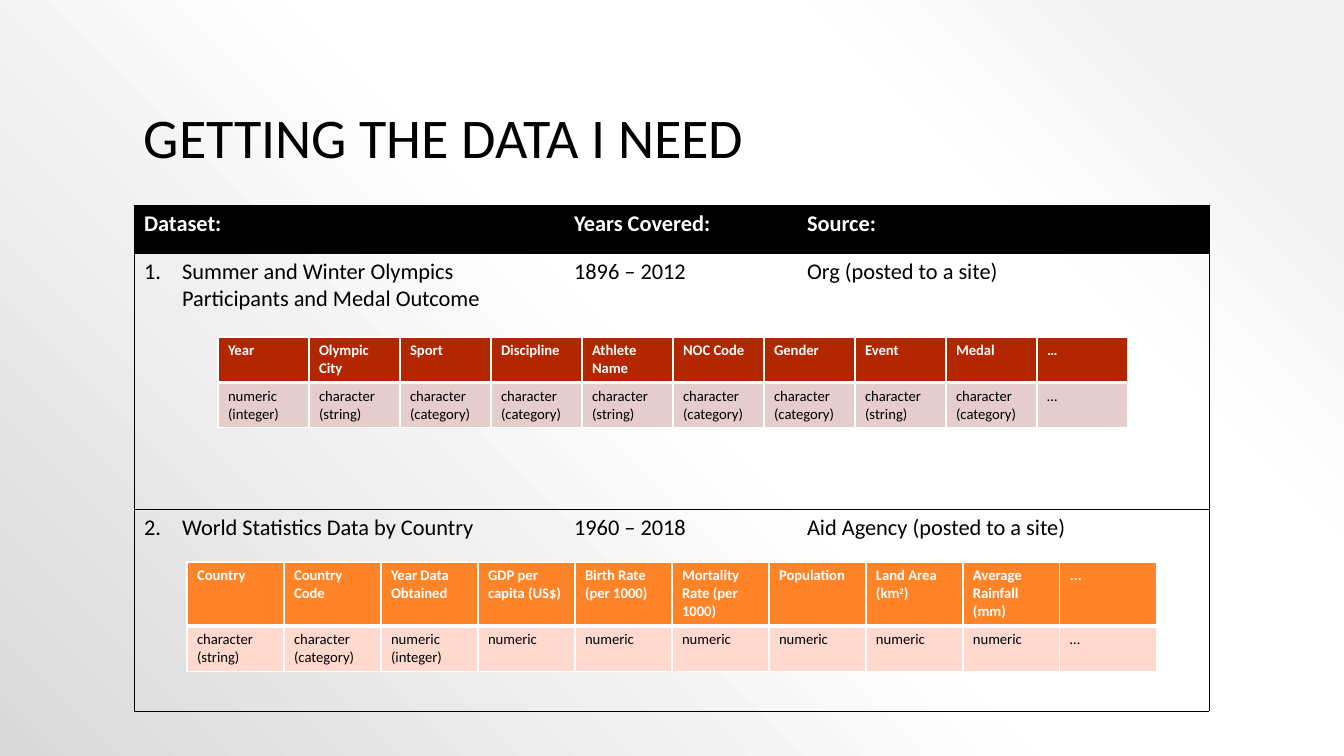
from lxml import etree
from pptx import Presentation
from pptx.dml.color import RGBColor
from pptx.enum.text import MSO_ANCHOR
from pptx.oxml import parse_xml
from pptx.oxml.ns import qn
from pptx.util import Pt

FONT = "Calibri"
BLACK, WHITE = "000000", "FFFFFF"
NS = ('xmlns:a="http://schemas.openxmlformats.org/drawingml/2006/main" '
      'xmlns:p="http://schemas.openxmlformats.org/presentationml/2006/main"')
BACKDROP = [(10, "F2F2F2"), (28, WHITE), (48, WHITE), (100, "D9D9D9")]

DATASETS = [
    ["Dataset:", "Years Covered:", "Source:"],
    ["Summer and Winter Olympics Participants and Medal Outcome", "1896 – 2012",
     "Org (posted to a site)"],
    ["World Statistics Data by Country", "1960 – 2018",
     "Aid Agency (posted to a site)"],
]
STRING, CATEGORY, INTEGER = "character (string)", "character (category)", "numeric (integer)"
OLYMPIC_FIELDS = [
    ["Year", "Olympic City", "Sport", "Discipline", "Athlete Name", "NOC Code",
     "Gender", "Event", "Medal", "…"],
    [INTEGER, STRING, CATEGORY, CATEGORY, STRING, CATEGORY, CATEGORY, STRING,
     "character\n(category)", "…"],
]
COUNTRY_FIELDS = [
    ["Country", "Country Code", "Year Data Obtained", "GDP per capita (US$)",
     "Birth Rate (per 1000)", "Mortality Rate (per 1000)", "Population",
     "Land Area (km^2^)", "Average Rainfall (mm)", "..."],
    [STRING, CATEGORY, INTEGER] + ["numeric"] * 6 + ["…"],
]


def px(n):
    """Turn pixels into EMU."""
    return round(n * 914400 / 100.8)


def rgb(value):
    """Turn a hex string into a colour."""
    return RGBColor.from_string(value)


def style_run(r, size, color, bold=False):
    """Set the font of one run."""
    r.font.name, r.font.size, r.font.bold = FONT, Pt(size), bold
    r.font.color.rgb = rgb(color)


def add_backdrop(s):
    """Give the slide a radial gradient centred on its top right corner."""
    stops = "".join(f'<a:gs pos="{pos * 1000}"><a:srgbClr val="{color}"/></a:gs>'
                    for pos, color in BACKDROP)
    s._element.cSld.insert(0, parse_xml(
        f'<p:bg {NS}><p:bgPr><a:gradFill rotWithShape="1"><a:gsLst>{stops}</a:gsLst>'
        '<a:path path="circle"><a:fillToRect l="100000" b="100000"/></a:path>'
        '</a:gradFill><a:effectLst/></p:bgPr></p:bg>'))


def add_title(s, x, y, w, h):
    """Place the title at the bottom of its box."""
    tf = s.shapes.add_textbox(px(x), px(y), px(w), px(h)).text_frame
    tf.word_wrap, tf.vertical_anchor = True, MSO_ANCHOR.BOTTOM
    p = tf.paragraphs[0]
    p.text, p.line_spacing = "GETTING THE DATA I NEED", 0.9
    style_run(p.runs[0], 40, BLACK)


def set_borders(cell, **sides):
    """Draw the sides L, R, T, B of a cell from (colour, points) or None."""
    tcPr = cell._tc.get_or_add_tcPr()
    for i, side in enumerate("LRTB"):
        color, width = sides.get(side) or (None, 0)
        fill = f'<a:solidFill><a:srgbClr val="{color}"/></a:solidFill>' if color else "<a:noFill/>"
        tcPr.insert(i, parse_xml(f'<a:ln{side} {NS} w="{Pt(width)}">{fill}</a:ln{side}>'))


def fill_cell(cell, text, size, color, bold, fill):
    """Write and paint a cell; text between carets is superscript."""
    cell.text = text.replace("^", "")
    if "^" in text:
        p = cell.text_frame.paragraphs[0]
        p.text = ""
        for i, part in enumerate(text.split("^")):
            r = p.add_run()
            r.text = part
            if i % 2:
                r.font._element.set("baseline", "30000")
    for p in cell.text_frame.paragraphs:
        for r in p.runs:
            style_run(r, size, color, bold)
    if fill:
        cell.fill.solid()
        cell.fill.fore_color.rgb = rgb(fill)
    else:
        cell.fill.background()


def add_grid(s, x, y, widths, heights):
    """Add a plain table with the given column widths and row heights."""
    table = s.shapes.add_table(len(heights), len(widths), px(x), px(y),
                               px(sum(widths)), px(sum(heights))).table
    table.first_row = table.horz_banding = False
    for col, w in zip(table.columns, widths):
        col.width = px(w)
    for row, h in zip(table.rows, heights):
        row.height = px(h)
    return table


def number_paragraph(p, start):
    """Number a paragraph with a hanging indent."""
    pPr = p._p.get_or_add_pPr()
    pPr.set("marL", str(px(38)))
    pPr.set("indent", str(-px(38)))
    etree.SubElement(pPr, qn("a:buFont")).set("typeface", "+mj-lt")
    bullet = etree.SubElement(pPr, qn("a:buAutoNum"))
    bullet.set("type", "arabicPeriod")
    bullet.set("startAt", str(start))


def add_datasets(s, x, y, widths, heights):
    """Place the outer table that lists the datasets."""
    table = add_grid(s, x, y, widths, heights)
    edge = (BLACK, 0.5)
    for i, row in enumerate(DATASETS):
        for j, text in enumerate(row):
            cell, header = table.cell(i, j), i == 0
            fill_cell(cell, text, 16, WHITE if header else BLACK, header,
                      BLACK if header else None)
            set_borders(cell, T=edge, B=edge, L=edge if j == 0 else None,
                        R=edge if j == len(row) - 1 else None)
            if j == 0 and not header:
                number_paragraph(cell.text_frame.paragraphs[0], i)


def add_fields(s, x, y, col_w, heights, fields, head_fill, body_fill):
    """Place a table of field names over their types."""
    table = add_grid(s, x, y, [col_w] * len(fields[0]), heights)
    thin, thick = (WHITE, 1), (WHITE, 3)
    for i, row in enumerate(fields):
        for j, text in enumerate(row):
            cell, header = table.cell(i, j), i == 0
            fill_cell(cell, text, 10.5, WHITE if header else BLACK, header,
                      head_fill if header else body_fill)
            set_borders(cell, L=thin, R=thin, T=thin if header else thick,
                        B=thick if header else thin)


def main():
    """Build the slide and save it."""
    prs = Presentation()
    prs.slide_width, prs.slide_height = px(1344), px(756)
    s = prs.slides.add_slide(prs.slide_layouts[6])
    add_backdrop(s)
    add_title(s, 134, 30, 1075, 146)
    add_datasets(s, 134, 205, [430, 233, 412], [48, 256, 202])
    add_fields(s, 218, 337, 91, [45, 45], OLYMPIC_FIELDS, "B22600", "E4CDCC")
    add_fields(s, 187, 562, 97, [64, 45], COUNTRY_FIELDS, "FF8427", "FFD9CD")
    prs.save("out.pptx")


if __name__ == "__main__":
    main()
